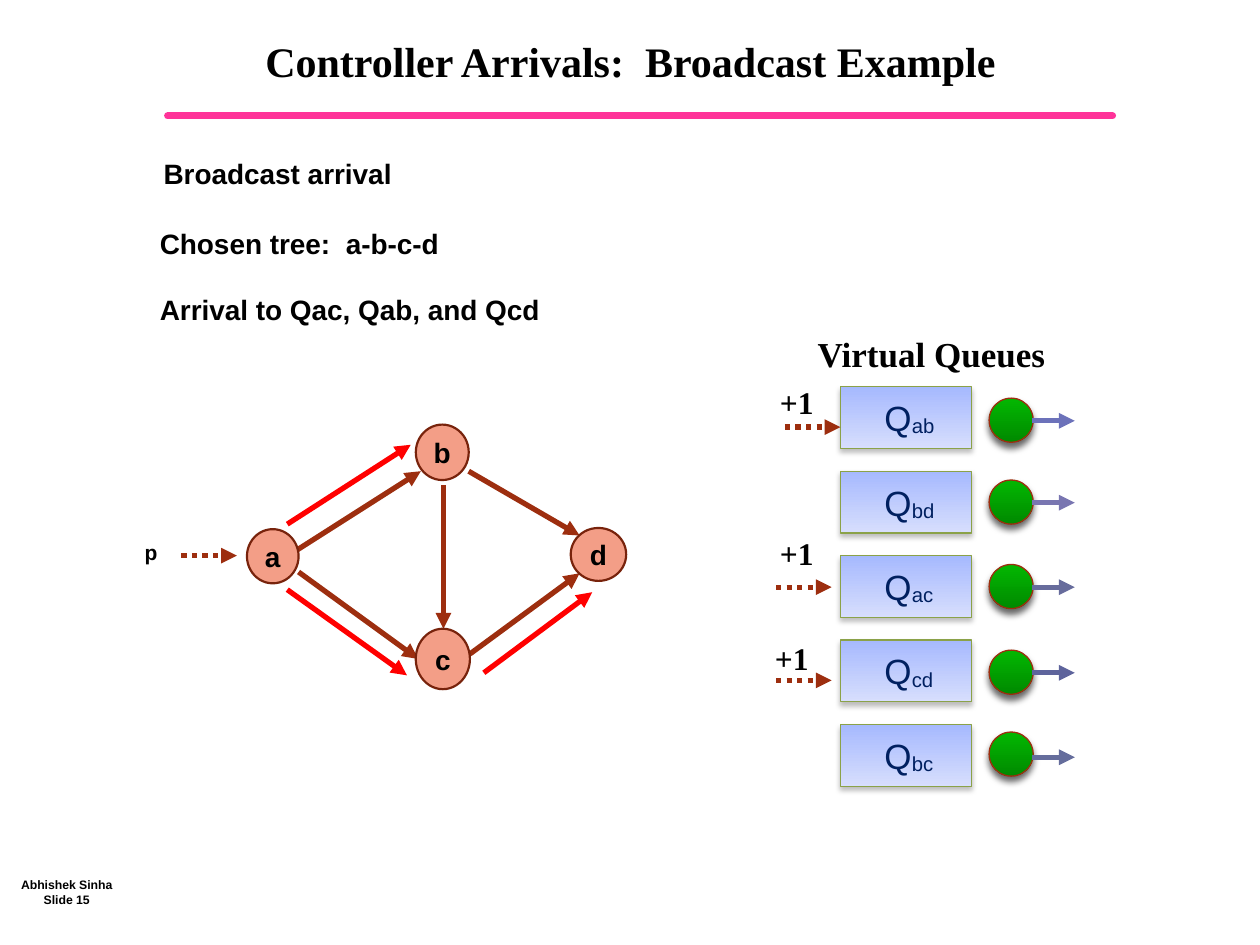
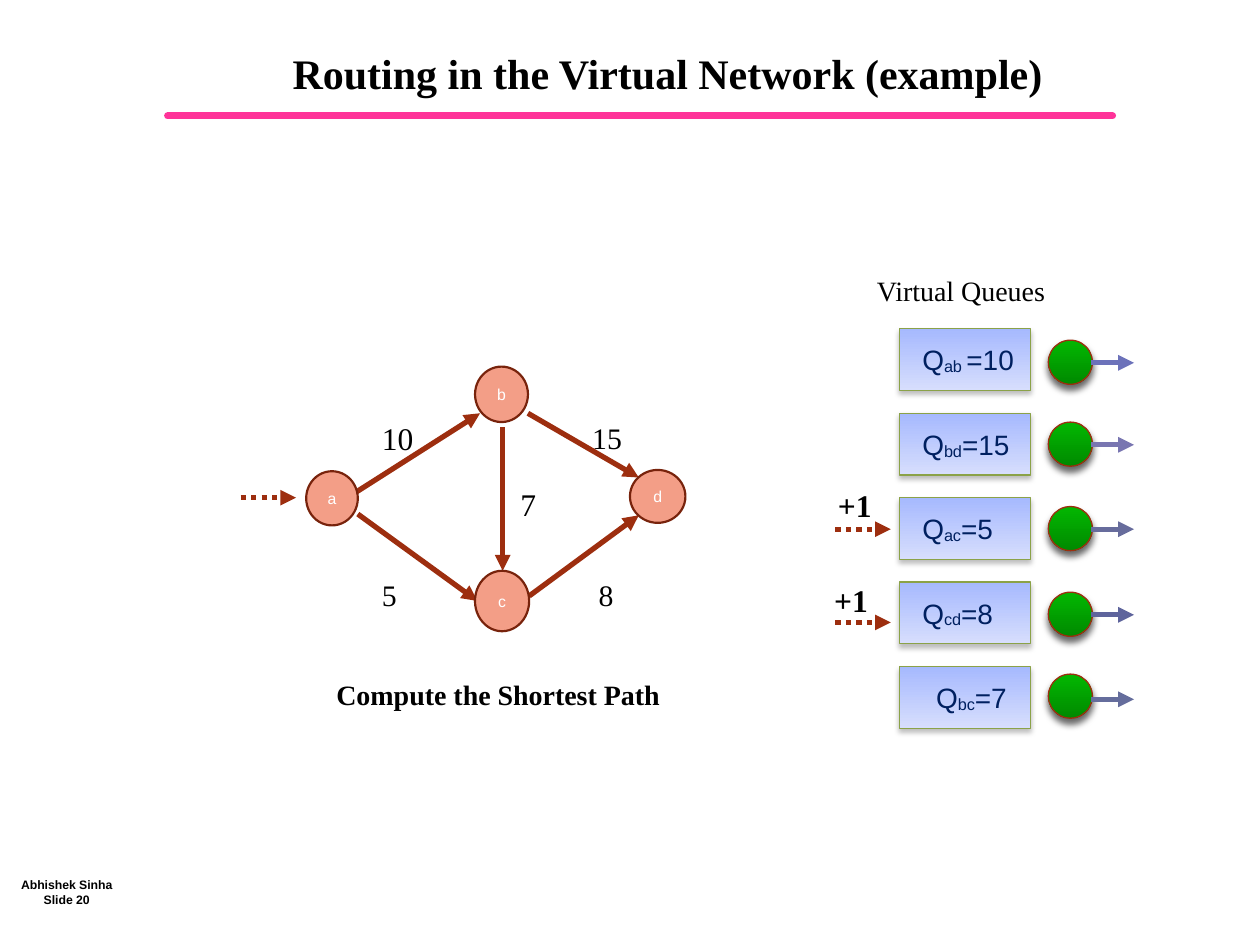
from lxml import etree
from pptx import Presentation
from pptx import util as u
from pptx.dml.color import RGBColor
from pptx.enum import dml, shapes, text
from pptx.oxml.ns import qn

SANS, SERIF = "Arial", "Times New Roman"
BLACK, WHITE, NAVY = "000000", "FFFFFF", "002060"
PINK, BROWN, RED = "FF3399", "9D2E0F", "FF0000"
NODE_FILL, NODE_LINE = "F39E87", "78230C"
QUEUE_FILL, QUEUE_LINE = ("A6B9FE", "D7DEFD"), "8BA248"
SERVER_FILL = ("03B701", "008A00")
NARROW, WIDE = 0.04, 0.1

NODES = {
    "a": (1.96, 4.2, 0.41, 0.43),
    "b": (3.3, 3.37, 0.42, 0.44),
    "c": (3.3, 4.99, 0.43, 0.48),
    "d": (4.53, 4.19, 0.44, 0.42),
}
EDGES = [
    ((2.35, 4.37), (3.34, 3.74)),
    ((3.72, 3.74), (4.6, 4.25)),
    ((3.73, 5.19), (4.6, 4.55)),
    ((2.37, 4.54), (3.32, 5.23)),
    ((3.52, 3.85), (3.52, 4.99)),
]
TREE_EDGES = [
    ((3.84, 5.34), (4.7, 4.7)),
    ((2.28, 4.68), (3.23, 5.36)),
    ((2.28, 4.16), (3.26, 3.53)),
]
SERVERS = [
    (3.16, 3.34, "6C72BA"),
    (3.81, 3.99, "7976B1"),
    (4.48, 4.66, "676C9C"),
    (5.16, 5.34, "5E649C"),
    (5.81, 6.01, "656D9C"),
]


def rgb(value):
    return RGBColor.from_string(value)


def write(p, words, size=16, font=SANS, color=BLACK, bold=False, baseline=None):
    r = p.add_run()
    r.text = words
    r.font.size = u.Pt(size)
    r.font.name = font
    r.font.bold = bold
    r.font.color.rgb = rgb(color)
    if baseline:
        r._r.get_or_add_rPr().set("baseline", str(baseline * 1000))


def frame(sp, inset, anchor=text.MSO_ANCHOR.TOP, wrap=True):
    tf = sp.text_frame
    tf.margin_left = tf.margin_right = u.Inches(inset)
    tf.margin_top = tf.margin_bottom = u.Inches(0.05)
    tf.vertical_anchor = anchor
    tf.word_wrap = wrap
    return tf


class Deck:
    def __init__(self):
        self.prs = Presentation()
        self.prs.slide_width, self.prs.slide_height = u.Inches(10), u.Inches(7.5)
        self.origin = (0, 0)

    def at(self, x, y):
        return u.Inches(x + self.origin[0]), u.Inches(y + self.origin[1])

    def start(self, title, box, number, origin=(0, 0)):
        self.s = self.prs.slides.add_slide(self.prs.slide_layouts[5])
        self.origin = (0, 0)
        self.line((1.33, 0.92), (8.83, 0.92), PINK, width=4, arrow=False, cap="rnd")
        self.text((0.08, 6.83, 0.9, 0.5), ["Abhishek Sinha", f"Slide {number}"],
                  wrap=False, anchor=text.MSO_ANCHOR.MIDDLE,
                  align=text.PP_ALIGN.CENTER, size=7, bold=True)
        self.title(title, box)
        self.origin = origin

    def title(self, words, box):
        sp = self.s.shapes.title
        sp.left, sp.top, sp.width, sp.height = map(u.Inches, box)
        tf = frame(sp, WIDE, text.MSO_ANCHOR.MIDDLE)
        tf.auto_size = text.MSO_AUTO_SIZE.NONE
        p = tf.paragraphs[0]
        p.alignment = text.PP_ALIGN.CENTER
        p.line_spacing = u.Pt(30)
        write(p, words, size=24, font=SERIF, bold=True)

    def text(self, box, lines, inset=NARROW, wrap=True, anchor=text.MSO_ANCHOR.TOP,
             align=text.PP_ALIGN.LEFT, **style):
        x, y, w, h = box
        sp = self.s.shapes.add_textbox(*self.at(x, y), u.Inches(w), u.Inches(h))
        tf = frame(sp, inset, anchor, wrap)
        for i, words in enumerate(lines):
            p = tf.add_paragraph() if i else tf.paragraphs[0]
            p.alignment = align
            write(p, words, **style)

    def line(self, start, end, color=BROWN, width=3, arrow=True, dotted=False, cap="flat"):
        cx = self.s.shapes.add_connector(
            shapes.MSO_CONNECTOR.STRAIGHT, *self.at(*start), *self.at(*end))
        cx.line.color.rgb = rgb(color)
        cx.line.width = u.Pt(width)
        if dotted:
            cx.line.dash_style = dml.MSO_LINE.ROUND_DOT
        spPr = cx._element.spPr
        ln = spPr.find(qn("a:ln"))
        ln.set("cap", cap)
        if arrow:
            etree.SubElement(ln, qn("a:tailEnd"), type="triangle")
        etree.SubElement(spPr, qn("a:effectLst"))

    def shape(self, kind, box, fill, line, width=0.75, shadow=None):
        x, y, w, h = box
        sp = self.s.shapes.add_shape(kind, *self.at(x, y), u.Inches(w), u.Inches(h))
        if isinstance(fill, tuple):
            sp.fill.gradient()
            sp.fill.gradient_angle = 270
            for stop, color in zip(sp.fill.gradient_stops, fill):
                stop.color.rgb = rgb(color)
        else:
            sp.fill.solid()
            sp.fill.fore_color.rgb = rgb(fill)
        sp.line.color.rgb = rgb(line)
        sp.line.width = u.Pt(width)
        sp.shadow.inherit = False
        if shadow:
            self.shadow(sp, *shadow)
        return sp

    def shadow(self, sp, alpha, blur, distance):
        effects = sp._element.spPr.find(qn("a:effectLst"))
        outer = etree.SubElement(
            effects, qn("a:outerShdw"), blurRad=str(u.Pt(blur)), dist=str(u.Pt(distance)),
            dir="5400000", rotWithShape="0")
        color = etree.SubElement(outer, qn("a:srgbClr"), val=BLACK)
        etree.SubElement(color, qn("a:alpha"), val=str(alpha * 1000))

    def node(self, name, box, **style):
        sp = self.shape(shapes.MSO_SHAPE.OVAL, box, NODE_FILL, NODE_LINE, 1.25)
        p = frame(sp, NARROW, text.MSO_ANCHOR.MIDDLE).paragraphs[0]
        p.alignment = text.PP_ALIGN.CENTER
        write(p, name, **style)

    def queue(self, y, label, size, indent):
        sp = self.shape(shapes.MSO_SHAPE.RECTANGLE, (6.67, y, 1.04, 0.49),
                        QUEUE_FILL, QUEUE_LINE, shadow=(25, 3, 2))
        tf = frame(sp, NARROW, text.MSO_ANCHOR.MIDDLE)
        tf.margin_left = u.Inches(indent)
        p = tf.paragraphs[0]
        p.alignment = text.PP_ALIGN.LEFT
        link, equals, length = label.partition("=")
        write(p, "Q", size=size, color=NAVY)
        write(p, link, size=size, color=NAVY, baseline=-6)
        if equals:
            write(p, equals + length, size=size, color=NAVY)

    def server(self, y, arrow_y, color):
        self.shape(shapes.MSO_SHAPE.OVAL, (7.85, y, 0.35, 0.35), SERVER_FILL, BROWN,
                   shadow=(60, 4, 3))
        self.line((8.19, arrow_y), (8.53, arrow_y), color)

    def arrival(self, x, y):
        self.line((x, y), (x + 0.44, y), dotted=True)

    def plus_one(self, x, y):
        self.text((x, y, 0.45, 0.4), ["+1"], wrap=False, size=18, font=SERIF, bold=True)

    def network(self, node_style, queue_size, labels, indents):
        for start, end in EDGES:
            self.line(start, end)
        for name, box in NODES.items():
            self.node(name, box, **node_style)
        for i, (label, indent) in enumerate(zip(labels, indents)):
            self.queue(3.07 + 0.67 * i, label, queue_size, indent)
        for server in SERVERS:
            self.server(*server)
        self.arrival(1.44, 4.41)
        for y in (4.66, 5.4):
            self.arrival(6.16, y)
        self.plus_one(6.11, 5.02)


def broadcast_slide(d):
    d.start("Controller Arrivals:  Broadcast Example ", (1.17, 0.06, 7.75, 0.83), 15)
    d.network(dict(size=16, bold=True), 20, ["ab", "bd", "ac", "cd", "bc"], [0.35] * 5)
    d.arrival(6.23, 3.39)
    for y in (2.99, 4.19):
        d.plus_one(6.15, y)
    d.text((6.45, 2.59, 1.93, 0.44), ["Virtual Queues"], size=20, font=SERIF, bold=True)
    for x, y, words in [(1.2, 1.19, "Broadcast arrival"),
                        (1.17, 1.75, "Chosen tree:  a-b-c-d"),
                        (1.17, 2.27, "Arrival to Qac, Qab, and Qcd")]:
        d.text((x, y, 5, 0.37), [words], inset=WIDE, bold=True)
    for start, end in TREE_EDGES:
        d.line(start, end, RED)
    d.text((1.05, 4.23, 0.31, 0.3), ["p"], inset=WIDE, wrap=False, size=12, bold=True)


def routing_slide(d):
    d.start("Routing in the Virtual Network (example) ", (1.64, 0.32, 7.4, 0.49), 20,
            origin=(0.47, -0.46))
    d.network(dict(size=9, color=WHITE), 16, ["ab =10", "bd=15", "ac=5", "cd=8", "bc=7"],
              [0.18] * 4 + [0.29])
    d.plus_one(6.14, 4.27)
    for x, y, size, weight in [(2.52, 3.74, 18, "10"), (4.19, 3.74, 17, "15"),
                               (2.52, 4.99, 17, "5"), (4.24, 4.99, 17, "8"),
                               (3.62, 4.26, 18, "7")]:
        d.text((x, y, 0.45, 0.4), [weight], wrap=False, size=size, font=SERIF)
    d.text((2.16, 5.79, 2.84, 0.37), ["Compute the Shortest Path"], font=SERIF, bold=True)
    d.text((6.45, 2.58, 1.93, 0.37), ["Virtual Queues"], font=SERIF)


def main():
    d = Deck()
    broadcast_slide(d)
    routing_slide(d)
    d.prs.save("out.pptx")


if __name__ == "__main__":
    main()
